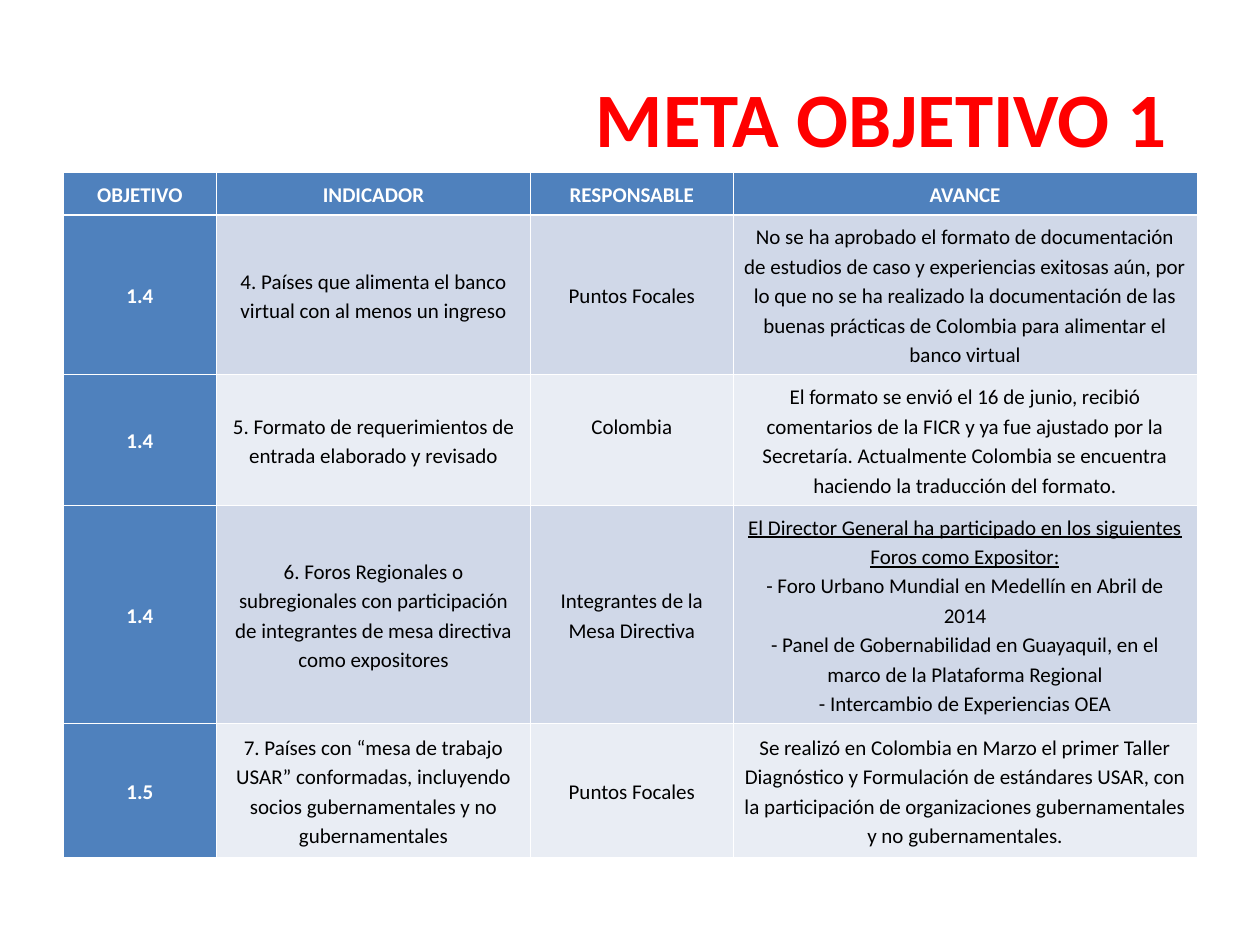
from lxml import etree
from pptx import Presentation
from pptx.dml.color import RGBColor
from pptx.enum import text as t
from pptx.oxml import ns
from pptx.util import Inches, Pt

HEADS = ["OBJETIVO", "INDICADOR", "RESPONSABLE", "AVANCE"]
GOALS = [
    ["1.4", "4. Países que alimenta el banco virtual con al menos un ingreso",
     "Puntos Focales",
     "No se ha aprobado el formato de documentación de estudios de caso y "
     "experiencias exitosas aún, por lo que no se ha realizado la documentación "
     "de las buenas prácticas de Colombia para alimentar el banco virtual"],
    ["1.4", "5. Formato de requerimientos de entrada elaborado y revisado",
     "Colombia",
     "El formato se envió el 16 de junio, recibió comentarios de la FICR y ya fue "
     "ajustado por la Secretaría. Actualmente Colombia se encuentra haciendo la "
     "traducción del formato."],
    ["1.4", "6. Foros Regionales o subregionales con participación de integrantes "
     "de mesa directiva como expositores",
     "Integrantes de la Mesa Directiva",
     "El Director General ha participado en los siguientes Foros como Expositor:\n"
     "- Foro Urbano Mundial en Medellín en Abril de 2014\n"
     "- Panel de Gobernabilidad en Guayaquil, en el marco de la Plataforma Regional\n"
     "- Intercambio de Experiencias OEA"],
    ["1.5", "7. Países con “mesa de trabajo USAR” conformadas, incluyendo socios "
     "gubernamentales y no gubernamentales",
     "Puntos Focales",
     "Se realizó en Colombia en Marzo el primer Taller Diagnóstico y Formulación de "
     "estándares USAR, con la participación de organizaciones gubernamentales y no "
     "gubernamentales."],
]
WIDTHS = [1.22, 2.49, 1.61, 3.68]
HEIGHTS = [0.23, 1.27, 0.92, 1.61, 1.06]
BLUE, WHITE, BLACK = "4F81BD", "FFFFFF", "000000"
BANDS = ["E9EDF4", "D0D8E8"]


def paint(part, color):
    """Give a fill or a font a solid colour."""
    if hasattr(part, "solid"):
        part.solid()
        part.fore_color.rgb = RGBColor.from_string(color)
    else:
        part.color.rgb = RGBColor.from_string(color)


def style(para, size, color, bold, align):
    """Format a whole paragraph."""
    para.alignment = align
    font = para.font
    font.name, font.size, font.bold = "Calibri", Pt(size), bold
    paint(font, color)


def edge(cell, side, width):
    """Draw one white border of a cell."""
    props = cell._tc.get_or_add_tcPr()
    line = etree.SubElement(props, ns.qn("a:ln" + side), w=str(Pt(width)))
    fill = etree.SubElement(line, ns.qn("a:solidFill"))
    etree.SubElement(fill, ns.qn("a:srgbClr"), val=WHITE)


def fill_cell(cell, words, row, col):
    """Write and format one cell by its place in the table."""
    head = row == 0 or col == 0
    cell.text = words
    cell.margin_left = cell.margin_right = Inches(0.08)
    cell.margin_top = cell.margin_bottom = Inches(0.05)
    cell.vertical_anchor = t.MSO_ANCHOR.MIDDLE if row else t.MSO_ANCHOR.TOP
    for para in cell.text_frame.paragraphs:
        style(para, 12, WHITE if head else BLACK, head, t.PP_ALIGN.CENTER)
        para.line_spacing = 1.15
    thick = {"B": 0} if row == 0 else {"T": 1}
    for side in "LRTB":
        edge(cell, side, 1.47 if thick.get(side) == row else 0.45)
    paint(cell.fill, BLUE if head else BANDS[row % 2])


def add_title(slide, left, top, width, height):
    """Place the slide title in its box."""
    title = slide.shapes.title
    title.left, title.top = Inches(left), Inches(top)
    title.width, title.height = Inches(width), Inches(height)
    title.text_frame.text = "META OBJETIVO 1 "
    title.text_frame.vertical_anchor = t.MSO_ANCHOR.MIDDLE
    style(title.text_frame.paragraphs[0], 44, "FF0000", True, t.PP_ALIGN.RIGHT)


def add_goals(slide, left, top, width, height):
    """Place the table of goals in its box."""
    rows = [HEADS] + GOALS
    table = slide.shapes.add_table(
        len(rows), len(HEADS), Inches(left), Inches(top),
        Inches(width), Inches(height)).table
    for col, size in zip(table.columns, WIDTHS):
        col.width = Inches(size)
    for row, size in zip(table.rows, HEIGHTS):
        row.height = Inches(size)
    for r, row in enumerate(rows):
        for c, words in enumerate(row):
            fill_cell(table.cell(r, c), words, r, c)
    table.cell(2, 2).margin_bottom = Inches(0.28)
    table.cell(3, 3).text_frame.paragraphs[0].font.underline = True


def main():
    """Build and save the slide."""
    deck = Presentation()
    deck.slide_width, deck.slide_height = Inches(10), Inches(7.5)
    slide = deck.slides.add_slide(deck.slide_layouts[5])
    add_title(slide, 0.5, 0.3, 9, 1.25)
    add_goals(slide, 0.5, 1.37, 9, 5.09)
    deck.save("out.pptx")


if __name__ == "__main__":
    main()
